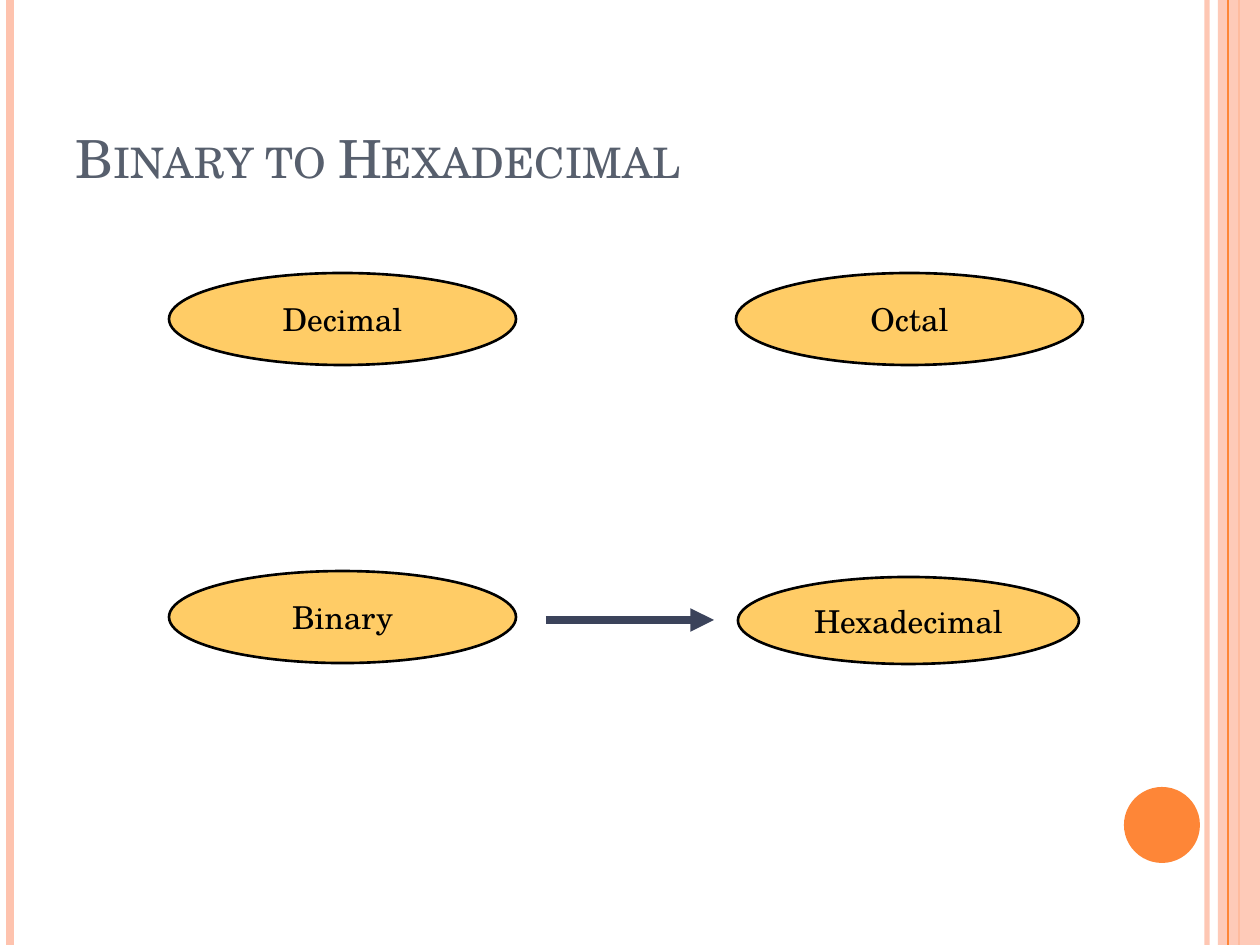
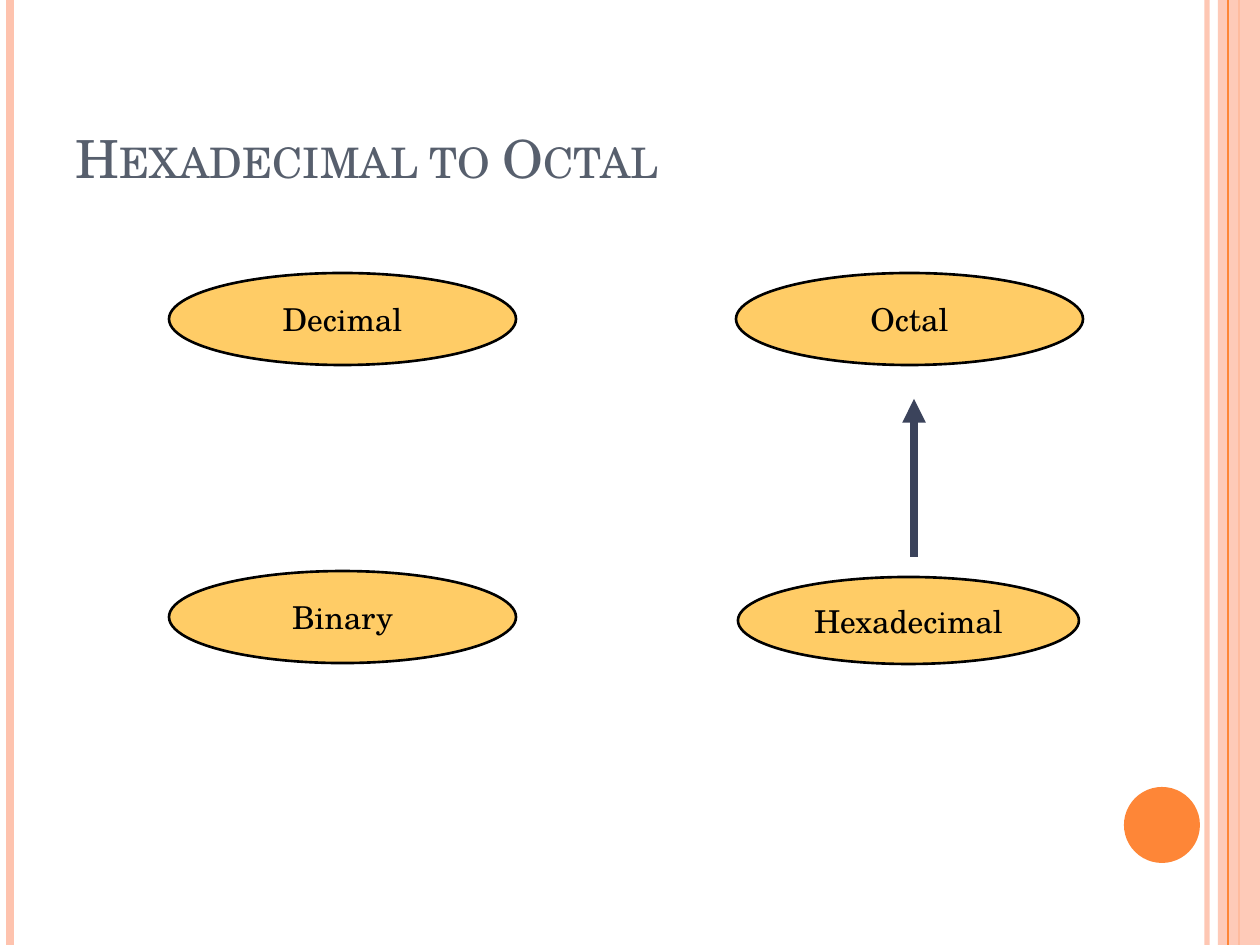
from lxml.etree import SubElement
from pptx import Presentation
from pptx.dml.color import RGBColor
from pptx.enum.shapes import MSO_CONNECTOR as Connector, MSO_SHAPE as Shape
from pptx.enum.text import MSO_ANCHOR as Anchor, PP_ALIGN as Align
from pptx.oxml.ns import qn
from pptx.util import Pt

PX = 914400 / 126
WIDTH, HEIGHT = 1260, 945
FONT = "TeX Gyre Schola"
PINK, ORANGE, YELLOW = "FEC3AE", "FE8637", "FFCC66"
BLACK, SLATE, NAVY = "000000", "575F6D", "3B435B"


def paint(fill, color, opacity=100):
    fill.solid()
    fill.fore_color.rgb = RGBColor.from_string(color)
    if opacity < 100:
        tint = fill._xPr.find(qn("a:solidFill"))[0]
        SubElement(tint, qn("a:alpha"), val=str(opacity * 1000))


def write(frame, text, size=18, color=BLACK, align=Align.CENTER,
          anchor=Anchor.MIDDLE, wrap=False, small_caps=False):
    frame.word_wrap = wrap
    frame.vertical_anchor = anchor
    para = frame.paragraphs[0]
    para.alignment = align
    span = para.add_run()
    span.text = text
    span.font.name = FONT
    span.font.size = Pt(size)
    paint(span.font.fill, color)
    if small_caps:
        span.font._element.set("cap", "small")


rails = [
    (1207, 0, 1207, HEIGHT, PINK, 3, 93),
    (10, 0, 10, HEIGHT, PINK, 4.5, 100),
    (1239, 0, 1239, HEIGHT, ORANGE, 1.5, 100),
    (1228, 0, 1228, HEIGHT, ORANGE, 0.75, 100),
]
decorations = [
    (Shape.RECTANGLE, (1218, 0, 42, HEIGHT), PINK, 87),
    (Shape.OVAL, (1124, 787, 76, 76), ORANGE, 100),
]
number_systems = [
    ("Hexadecimal", (738, 577, 341, 87)),
    ("Decimal", (169, 273, 347, 92)),
    ("Octal", (736, 273, 347, 92)),
    ("Binary", (169, 571, 347, 92)),
]
conversions = [
    ("Binary to Hexadecimal", (546, 620, 714, 620)),
    ("Hexadecimal to Octal", (914, 557, 914, 399)),
]

deck = Presentation()
deck.slide_width, deck.slide_height = round(WIDTH * PX), round(HEIGHT * PX)

for heading, arrow in conversions:
    page = deck.slides.add_slide(deck.slide_layouts[5])

    title = page.shapes.title
    title.left, title.top, title.width, title.height = [
        round(length * PX) for length in (63, 38, 1029, 157)]
    write(title.text_frame, heading, size=30, color=SLATE, align=Align.LEFT,
          anchor=Anchor.BOTTOM, wrap=True, small_caps=True)

    lines = []
    for *ends, color, weight, opacity in rails + [(*arrow, NAVY, 4.5, 100)]:
        line = page.shapes.add_connector(
            Connector.STRAIGHT, *[round(length * PX) for length in ends])
        line.line.width = Pt(weight)
        paint(line.line.fill, color, opacity)
        SubElement(line._element.spPr, qn("a:effectLst"))
        lines.append(line)
    SubElement(lines[-1].line._ln, qn("a:tailEnd"), type="triangle")

    for kind, place, color, opacity in decorations:
        box = page.shapes.add_shape(kind, *[round(length * PX) for length in place])
        box.shadow.inherit = False
        paint(box.fill, color, opacity)
        box.line.fill.background()
        lines[2]._element.addnext(box._element)

    for name, place in number_systems:
        oval = page.shapes.add_shape(
            Shape.OVAL, *[round(length * PX) for length in place])
        oval.shadow.inherit = False
        paint(oval.fill, YELLOW)
        paint(oval.line.fill, BLACK)
        oval.line.width = Pt(1.5)
        write(oval.text_frame, name)

deck.save("out.pptx")
